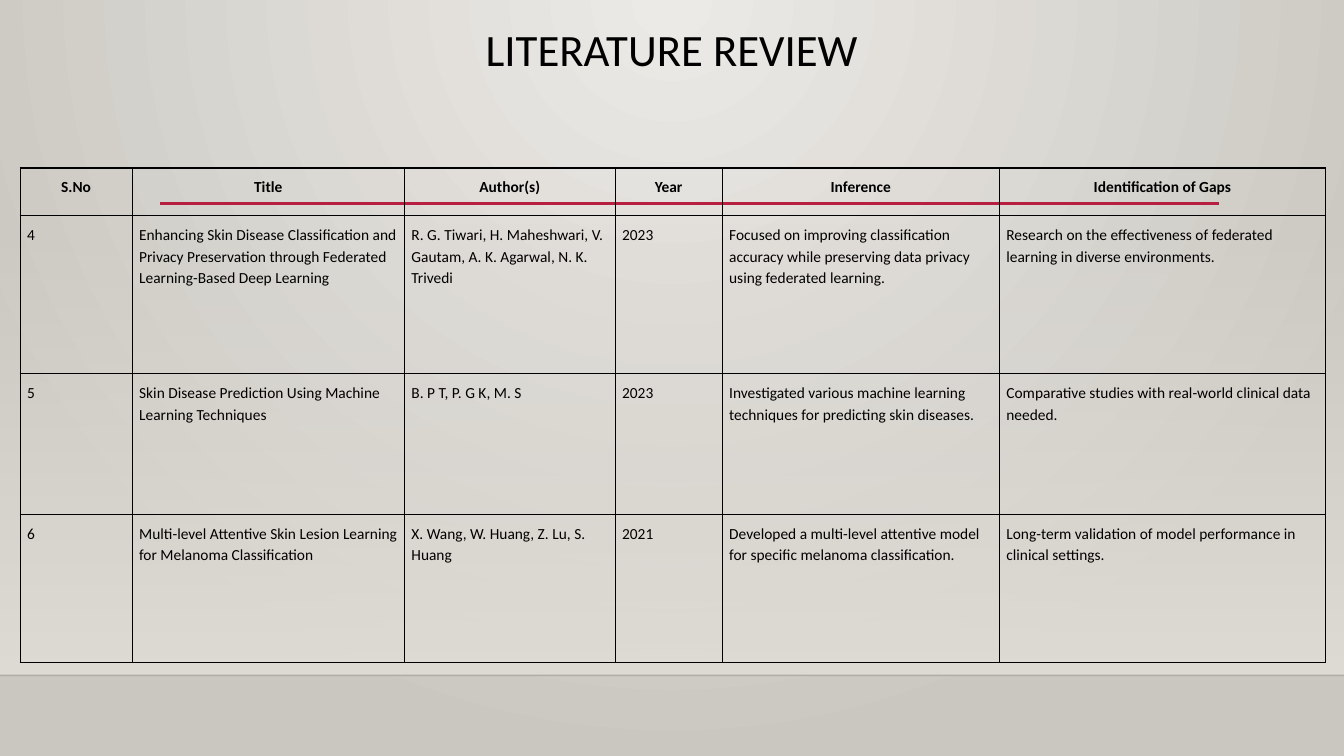
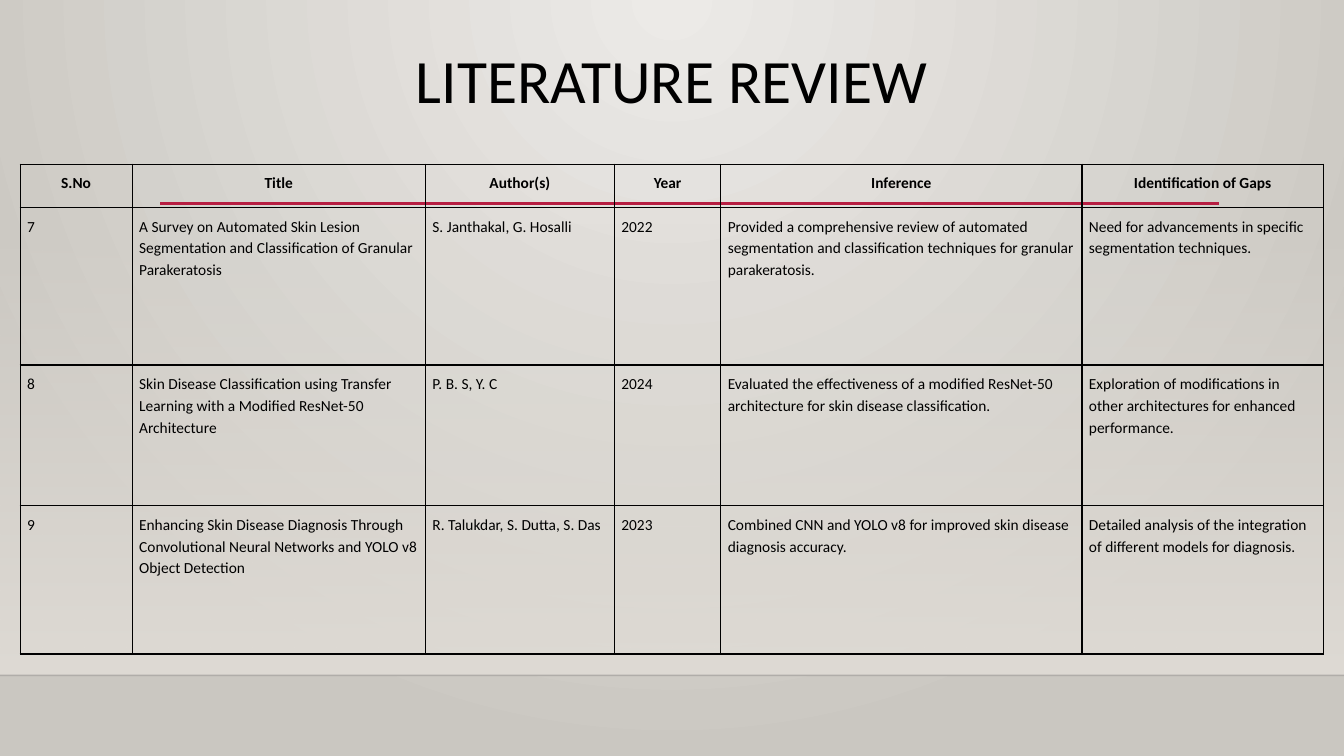
"""Build two literature review slides, each with a title and a table of papers."""
from lxml.etree import SubElement
from pptx import Presentation
from pptx.dml.color import RGBColor
from pptx.enum.shapes import MSO_CONNECTOR, MSO_SHAPE
from pptx.enum.text import MSO_ANCHOR, PP_ALIGN
from pptx.oxml import parse_xml
from pptx.oxml.ns import nsdecls, qn
from pptx.util import Pt

COLORS = {"glow": "ECEAE7", "edge": "CAC7C1", "floor": "DFDBD5",
          "horizon": "000001", "accent": "B71E42", "text": "000000"}
FONT = "Calibri"
HEADERS = ["S.No", "Title", "Author(s)", "Year", "Inference", "Identification of Gaps"]
SLIDES = [
    {"size": 32, "anchor": MSO_ANCHOR.TOP, "top": 120,
     "cols": [80, 194.5, 150.5, 76.5, 198, 233],
     "rows": [34, 113, 100.5, 106],
     "papers": [
         ["4", "Enhancing Skin Disease Classification and Privacy Preservation through "
          "Federated Learning-Based Deep Learning",
          "R. G. Tiwari, H. Maheshwari, V. Gautam, A. K. Agarwal, N. K. Trivedi", "2023",
          "Focused on improving classification accuracy while preserving data privacy "
          "using federated learning.",
          "Research on the effectiveness of federated learning in diverse environments."],
         ["5", "Skin Disease Prediction Using Machine Learning Techniques",
          "B. P T, P. G K, M. S", "2023",
          "Investigated various machine learning techniques for predicting skin diseases.",
          "Comparative studies with real-world clinical data needed."],
         ["6", "Multi-level Attentive Skin Lesion Learning for Melanoma Classification",
          "X. Wang, W. Huang, Z. Lu, S. Huang", "2021",
          "Developed a multi-level attentive model for specific melanoma classification.",
          "Long-term validation of model performance in clinical settings."]]},
    {"size": 44, "anchor": MSO_ANCHOR.MIDDLE, "top": 117.2,
     "cols": [80, 209.5, 135, 76, 258, 172.5],
     "rows": [31, 112.5, 100.5, 106],
     "papers": [
         ["7", "A Survey on Automated Skin Lesion Segmentation and Classification of "
          "Granular Parakeratosis",
          "S. Janthakal, G. Hosalli", "2022",
          "Provided a comprehensive review of automated segmentation and classification "
          "techniques for granular parakeratosis.",
          "Need for advancements in specific segmentation techniques."],
         ["8", "Skin Disease Classification using Transfer Learning with a Modified "
          "ResNet-50 Architecture",
          "P. B. S, Y. C", "2024",
          "Evaluated the effectiveness of a modified ResNet-50 architecture for skin "
          "disease classification.",
          "Exploration of modifications in other architectures for enhanced performance."],
         ["9", "Enhancing Skin Disease Diagnosis Through Convolutional Neural Networks "
          "and YOLO v8 Object Detection",
          "R. Talukdar, S. Dutta, S. Das", "2023",
          "Combined CNN and YOLO v8 for improved skin disease diagnosis accuracy.",
          "Detailed analysis of the integration of different models for diagnosis."]]},
]
RULES = [(0, 960, 482.4, 1, "horizon", 20), (114.5, 871, 145.4, 2.5, "accent", 100)]


def set_gradient(fill, *names):
    fill.gradient()
    for stop, name in zip(fill.gradient_stops, names):
        stop.color.rgb = RGBColor.from_string(COLORS[name])


def style_text(p, size, align, spacing, bold=False):
    p.alignment, p.line_spacing = align, spacing
    p.font.name, p.font.size, p.font.bold = FONT, Pt(size), bold
    p.font.color.rgb = RGBColor.from_string(COLORS["text"])


prs = Presentation()
prs.slide_width, prs.slide_height = Pt(960), Pt(540)

bg = prs.slide_master.background
set_gradient(bg.fill, "glow", "edge")
grad = prs.slide_master.element.xpath("p:cSld/p:bg//a:gradFill")[0]
grad.remove(grad.find(qn("a:lin")))
grad.append(parse_xml(f'<a:path {nsdecls("a")} path="circle">'
                      '<a:fillToRect l="43000" t="0" r="43000" b="100000"/></a:path>'))

for data in SLIDES:
    s = prs.slides.add_slide(prs.slide_layouts[6])

    floor = s.shapes.add_shape(MSO_SHAPE.RECTANGLE, 0, Pt(159), Pt(960), Pt(323.4))
    floor.shadow.inherit = False
    floor.line.fill.background()
    set_gradient(floor.fill, "floor", "floor")
    floor.fill.gradient_angle = 270
    SubElement(floor.element.xpath(".//a:gs/a:srgbClr")[0], qn("a:alpha"), val="0")

    for x1, x2, y, width, color, opacity in RULES:
        rule = s.shapes.add_connector(MSO_CONNECTOR.STRAIGHT, Pt(x1), Pt(y), Pt(x2), Pt(y))
        rule.line.width = Pt(width)
        rule.line.color.rgb = RGBColor.from_string(COLORS[color])
        SubElement(rule.element.xpath(".//a:ln//a:srgbClr")[0], qn("a:alpha"),
                   val=str(opacity * 1000))
        SubElement(rule.element.spPr, qn("a:effectLst"))

    title = s.shapes.add_textbox(Pt(66), Pt(16), Pt(828), Pt(88))
    tf = title.text_frame
    tf.word_wrap, tf.vertical_anchor = True, data["anchor"]
    tf.text = "LITERATURE REVIEW"
    style_text(tf.paragraphs[0], data["size"], PP_ALIGN.CENTER, 0.9)

    cols, rows = data["cols"], data["rows"]
    table = s.shapes.add_table(len(rows), len(cols), Pt(14.4), Pt(data["top"]),
                               Pt(sum(cols)), Pt(sum(rows))).table
    table.first_row = table.horz_banding = False
    for col, width in zip(table.columns, cols):
        col.width = Pt(width)
    for i, (height, texts) in enumerate(zip(rows, [HEADERS] + data["papers"])):
        table.rows[i].height = Pt(height)
        for j, text in enumerate(texts):
            cell = table.cell(i, j)
            cell.margin_left = cell.margin_right = Pt(5)
            cell.margin_top = cell.margin_bottom = Pt(5)
            cell.text = text
            align = PP_ALIGN.LEFT if i else PP_ALIGN.CENTER
            style_text(cell.text_frame.paragraphs[0], 11, align, 1.15, bold=i == 0)
            cell.fill.background()
            tcPr = cell._tc.get_or_add_tcPr()
            for k, side in enumerate("LRTB"):
                tcPr.insert(k, parse_xml(
                    f'<a:ln{side} {nsdecls("a")} w="{Pt(1)}"><a:solidFill>'
                    f'<a:srgbClr val="{COLORS["text"]}"/></a:solidFill></a:ln{side}>'))

prs.save("out.pptx")
